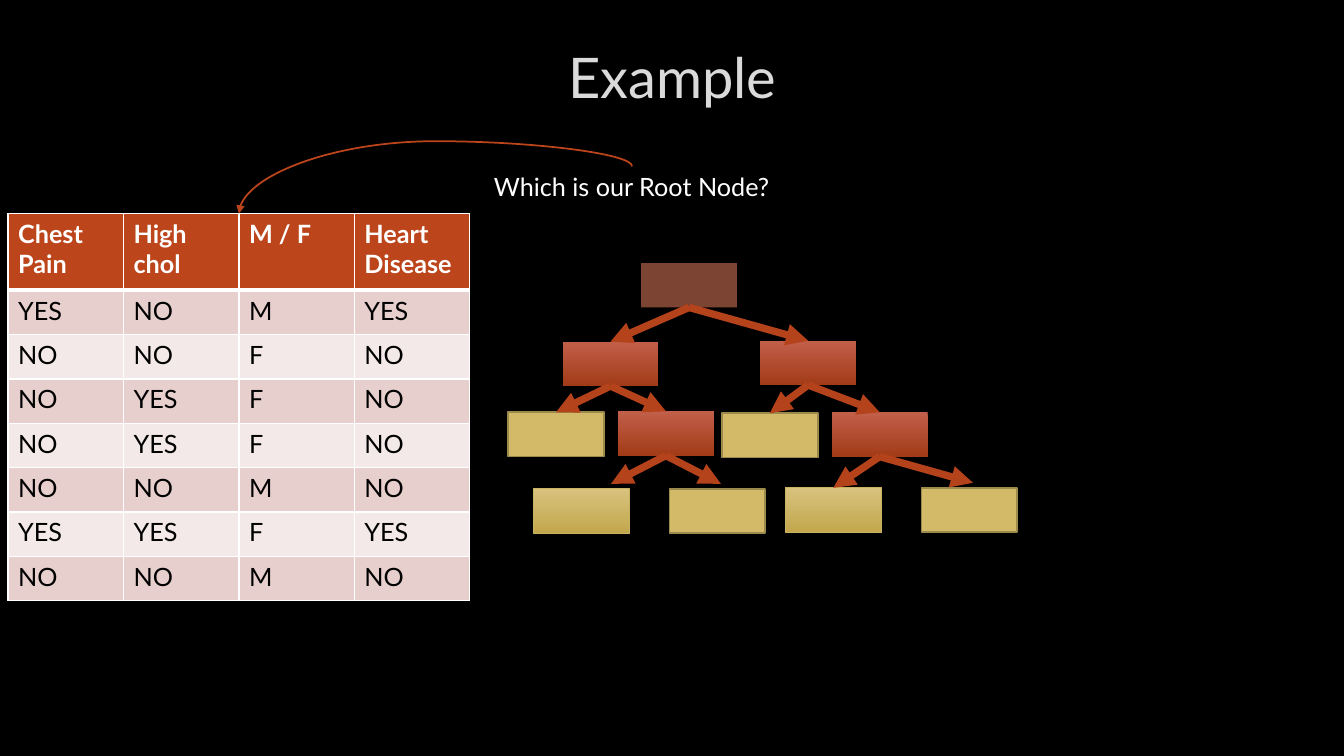
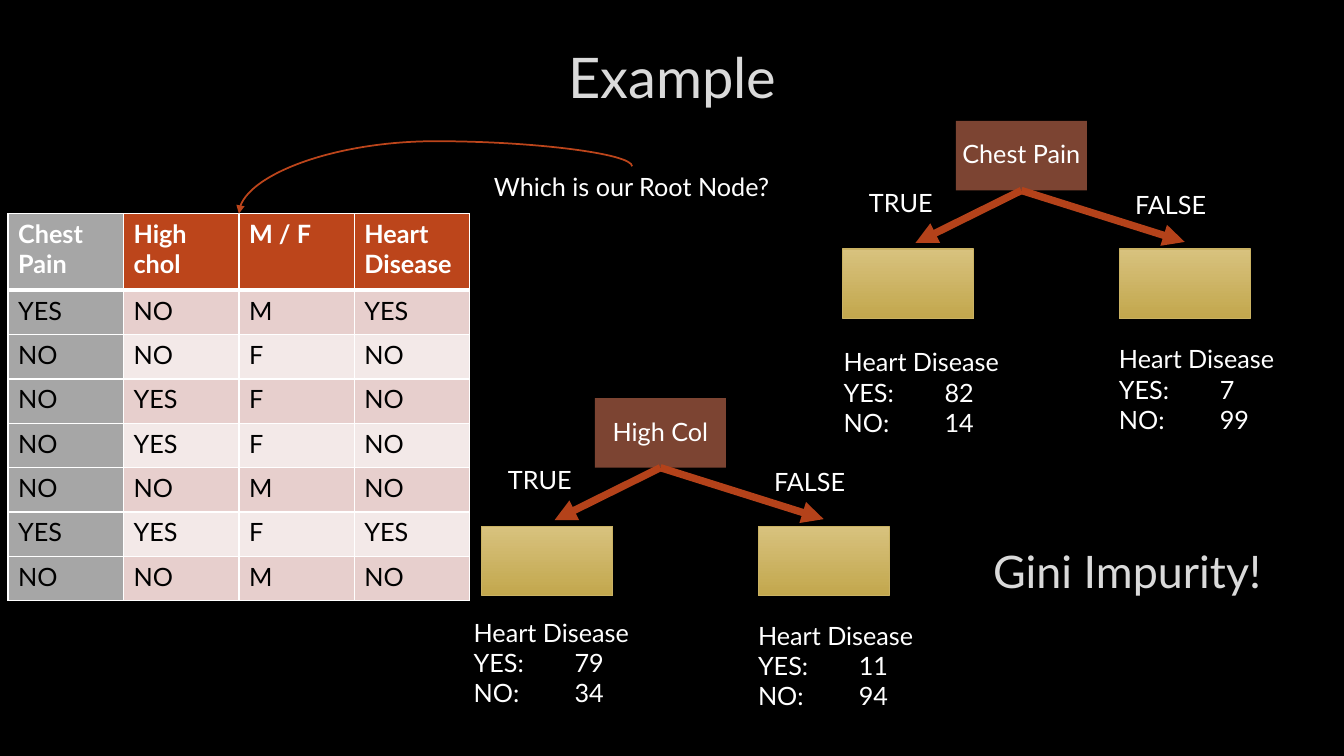
from lxml import etree
from pptx import Presentation
from pptx import util as u
from pptx.dml.color import RGBColor
from pptx.enum import shapes, text
from pptx.oxml.ns import qn

COLORS = {
    "background": "000000", "title": "DADADA", "white": "FFFFFF", "ink": "000000",
    "header": "BC451B", "band_dark": "E7CFCD", "band_light": "F3E9E8", "chosen": "A6A6A6",
    "arrow": "B4421A", "pointer": "BC451B",
}
# Each node style: fill (one colour, or top and bottom of a gradient), line, line width
NODE_STYLES = {
    "root": (["7C4432"], None, 0),
    "branch": (["C25F4A", "A23B17"], None, 0),
    "leaf": (["D3BA68"], "9C8A4D", 1.25),
    "shaded_leaf": (["D8C27E", "C2A74D"], "CAB263", 0.75),
}
FONT, BODY = "Lato", 18
WIDTH, HEIGHT = 13.33, 7.5

TITLE = "Example"
QUESTION = "Which is our Root Node?"
CONCLUSION = "Gini Impurity!"
PATIENTS = [
    ("Chest Pain", "High chol", "M / F", "Heart Disease"),
    ("YES", "NO", "M", "YES"),
    ("NO", "NO", "F", "NO"),
    ("NO", "YES", "F", "NO"),
    ("NO", "YES", "F", "NO"),
    ("NO", "NO", "M", "NO"),
    ("YES", "YES", "F", "YES"),
    ("NO", "NO", "M", "NO"),
]
TABLE_LEFT, TABLE_TOP, COLUMN = 0.08, 2.12, 1.145
HEADER_ROW, BODY_ROW = 0.76, 0.44

TREE_NODE = (0.95, 0.44)
TREE = {  # name: (left, top, style)
    "root": (6.36, 2.61, "root"),
    "true": (5.58, 3.39, "branch"),
    "false": (7.54, 3.38, "branch"),
    "true leaf": (5.04, 4.09, "leaf"),
    "true split": (6.13, 4.08, "branch"),
    "false leaf": (7.16, 4.1, "leaf"),
    "false split": (8.25, 4.09, "branch"),
    "outcome 1": (5.29, 4.85, "shaded_leaf"),
    "outcome 2": (6.64, 4.85, "leaf"),
    "outcome 3": (7.79, 4.84, "shaded_leaf"),
    "outcome 4": (9.14, 4.84, "leaf"),
}
BRANCHES = [  # parent, child, and the arrow tip where it stops short of the child
    ("root", "true", None), ("root", "false", None),
    ("true", "true leaf", None), ("true", "true split", None),
    ("false", "false leaf", None), ("false", "false split", None),
    ("true split", "outcome 1", (6.06, 4.8)), ("true split", "outcome 2", (7.15, 4.8)),
    ("false split", "outcome 3", None), ("false split", "outcome 4", (9.65, 4.79)),
]

STUMP_NODE = (1.3, 0.69)
STUMPS = [  # question, root corner, then per answer: counts and their corner
    ("High Col", (5.9, 3.95), [((79, 34), (4.6, 6.07)), ((11, 94), (7.42, 6.1))]),
    ("Chest Pain", (9.48, 1.2), [((82, 14), (8.27, 3.39)), ((7, 99), (11, 3.36))]),
]
# Answers, with offsets from the root corner: leaf, arrow tip, label
ANSWERS = [
    ("TRUE", (-1.12, 1.27), (-0.4, 1.21), (-0.96, 0.61)),
    ("FALSE", (1.62, 1.27), (2.27, 1.2), (1.68, 0.63)),
]


def rgb(name):
    return RGBColor.from_string(COLORS.get(name, name))


def inches(*lengths):
    return [u.Inches(length) for length in lengths]


def shift(corner, offset):
    return corner[0] + offset[0], corner[1] + offset[1]


def style(paragraph, color="white", points=BODY, bold=False, align=None):
    paragraph.alignment = align
    paragraph.font.name, paragraph.font.size = FONT, u.Pt(points)
    paragraph.font.bold, paragraph.font.color.rgb = bold, rgb(color)


def add_text(slide, corner, size, lines, tab=None, anchor=text.MSO_ANCHOR.TOP, **font):
    frame = slide.shapes.add_textbox(*inches(*corner, *size)).text_frame
    frame.word_wrap, frame.vertical_anchor = True, anchor
    frame.text = "\n".join(lines)
    for paragraph in frame.paragraphs:
        if tab:
            stops = etree.SubElement(paragraph._p.get_or_add_pPr(), qn("a:tabLst"))
            etree.SubElement(stops, qn("a:tab"), pos=str(u.Inches(tab)), algn="l")
        style(paragraph, **font)


def add_heading(slide, words, corner, points):
    add_text(slide, corner, (11.32, 1.06), [words], anchor=text.MSO_ANCHOR.MIDDLE,
             color="title", points=points, align=text.PP_ALIGN.CENTER)


def add_node(slide, corner, size, kind, label=None):
    node = slide.shapes.add_shape(shapes.MSO_SHAPE.RECTANGLE, *inches(*corner, *size))
    node.shadow.inherit = False
    fills, outline, weight = NODE_STYLES[kind]
    if len(fills) == 1:
        node.fill.solid()
        node.fill.fore_color.rgb = rgb(fills[0])
    else:
        node.fill.gradient()
        node.fill.gradient_angle = 270
        for stop, fill in zip(node.fill.gradient_stops, fills):
            stop.color.rgb = rgb(fill)
    if outline:
        node.line.color.rgb, node.line.width = rgb(outline), u.Pt(weight)
    else:
        node.line.fill.background()
    if label:
        frame = node.text_frame
        frame.margin_left = frame.margin_right = u.Inches(0.04)
        frame.margin_top = frame.margin_bottom = u.Inches(0.04)
        frame.text = label
        frame.paragraphs[0].line_spacing = 0.9
        style(frame.paragraphs[0], align=text.PP_ALIGN.CENTER)
    return node


def add_arrow(slide, kind, start, end, color, weight):
    arrow = slide.shapes.add_connector(kind, *inches(*start, *end))
    arrow.line.color.rgb, arrow.line.width = rgb(color), u.Pt(weight)
    etree.SubElement(arrow.line._get_or_add_ln(), qn("a:tailEnd"), type="triangle")
    etree.SubElement(arrow._element.spPr, qn("a:effectLst"))
    return arrow


def add_branch(slide, parent, child, tip=None):
    """Arrow from the parent's foot to the child's head, or to a free tip."""
    branch = add_arrow(slide, shapes.MSO_CONNECTOR.STRAIGHT, (0, 0), tip or (0, 0), "arrow", 5.25)
    branch.begin_connect(parent, 2)
    if not tip:
        branch.end_connect(child, 0)


def add_pointer(slide, start, end, bulge):
    """Curved arrow that leaves and arrives vertically: a quarter-turned connector."""
    middle_x, middle_y = (start[0] + end[0]) / 2, (start[1] + end[1]) / 2
    half_w, half_h = (end[1] - start[1]) / 2, (start[0] - end[0]) / 2
    pointer = add_arrow(slide, shapes.MSO_CONNECTOR.CURVE,
                        (middle_x + half_w, middle_y + half_h),
                        (middle_x - half_w, middle_y - half_h), "pointer", 1.25)
    properties = pointer._element.spPr
    properties.find(qn("a:xfrm")).set("rot", str(270 * 60000))
    preset = properties.find(qn("a:prstGeom"))
    guides = preset.find(qn("a:avLst"))
    if guides is None:
        guides = etree.SubElement(preset, qn("a:avLst"))
    etree.SubElement(guides, qn("a:gd"), name="adj1", fmla=f"val {round(bulge * 100000)}")


def add_borders(cell, **weights):
    for side in "LRTB":
        line = etree.SubElement(cell._tc.get_or_add_tcPr(), qn(f"a:ln{side}"),
                                w=str(u.Pt(weights.get(side, 1))))
        fill = etree.SubElement(line, qn("a:solidFill"))
        etree.SubElement(fill, qn("a:srgbClr"), val=COLORS["white"])


def add_patients(slide, chosen=None):
    """Patient table; the chosen column is greyed out."""
    rows, columns = len(PATIENTS), len(PATIENTS[0])
    table = slide.shapes.add_table(rows, columns, *inches(
        TABLE_LEFT, TABLE_TOP, columns * COLUMN, HEADER_ROW + (rows - 1) * BODY_ROW)).table
    for column in table.columns:
        column.width = u.Inches(COLUMN)
    for r, patient in enumerate(PATIENTS):
        table.rows[r].height = u.Inches(BODY_ROW if r else HEADER_ROW)
        band = "header" if r == 0 else "band_dark" if r % 2 else "band_light"
        for c, value in enumerate(patient):
            cell = table.cell(r, c)
            add_borders(cell, T=3 if r == 1 else 1, B=1 if r else 3)
            cell.fill.solid()
            cell.fill.fore_color.rgb = rgb("chosen" if c == chosen else band)
            cell.text = value
            style(cell.text_frame.paragraphs[0], "ink" if r else "white", bold=r == 0)


def add_example(deck, chosen=None):
    """Slide with everything both steps share."""
    slide = deck.slides.add_slide(deck.slide_layouts[6])
    slide.background.fill.solid()
    slide.background.fill.fore_color.rgb = rgb("background")
    add_heading(slide, TITLE, (1.01, 0.23), 40)
    add_patients(slide, chosen)
    add_text(slide, (4.8, 1.65), (3.1, 0.4), [QUESTION])
    add_pointer(slide, (6.27, 1.65), (TABLE_LEFT + 2 * COLUMN, TABLE_TOP), -0.53)
    return slide


def add_tree(slide):
    nodes = {name: add_node(slide, (left, top), TREE_NODE, kind)
             for name, (left, top, kind) in TREE.items()}
    for parent, child, tip in BRANCHES:
        add_branch(slide, nodes[parent], nodes[child], tip)


def add_stump(slide, question, corner, outcomes):
    root = add_node(slide, corner, STUMP_NODE, "root", question)
    for (answer, leaf_at, tip_at, label_at), (counts, counts_at) in zip(ANSWERS, outcomes):
        leaf = add_node(slide, shift(corner, leaf_at), STUMP_NODE, "shaded_leaf")
        add_branch(slide, root, leaf, shift(corner, tip_at))
        add_text(slide, shift(corner, label_at), (1.83, 0.4), [answer])
        add_text(slide, counts_at, (1.83, 1.01),
                 ["Heart Disease", f"YES:\t{counts[0]}", f"NO:\t{counts[1]}"], tab=1)


def main():
    deck = Presentation()
    deck.slide_width, deck.slide_height = inches(WIDTH, HEIGHT)
    add_tree(add_example(deck))
    comparison = add_example(deck, chosen=0)
    for stump in STUMPS:
        add_stump(comparison, *stump)
    add_heading(comparison, CONCLUSION, (5.52, 5.13), 32)
    deck.save("out.pptx")


if __name__ == "__main__":
    main()
